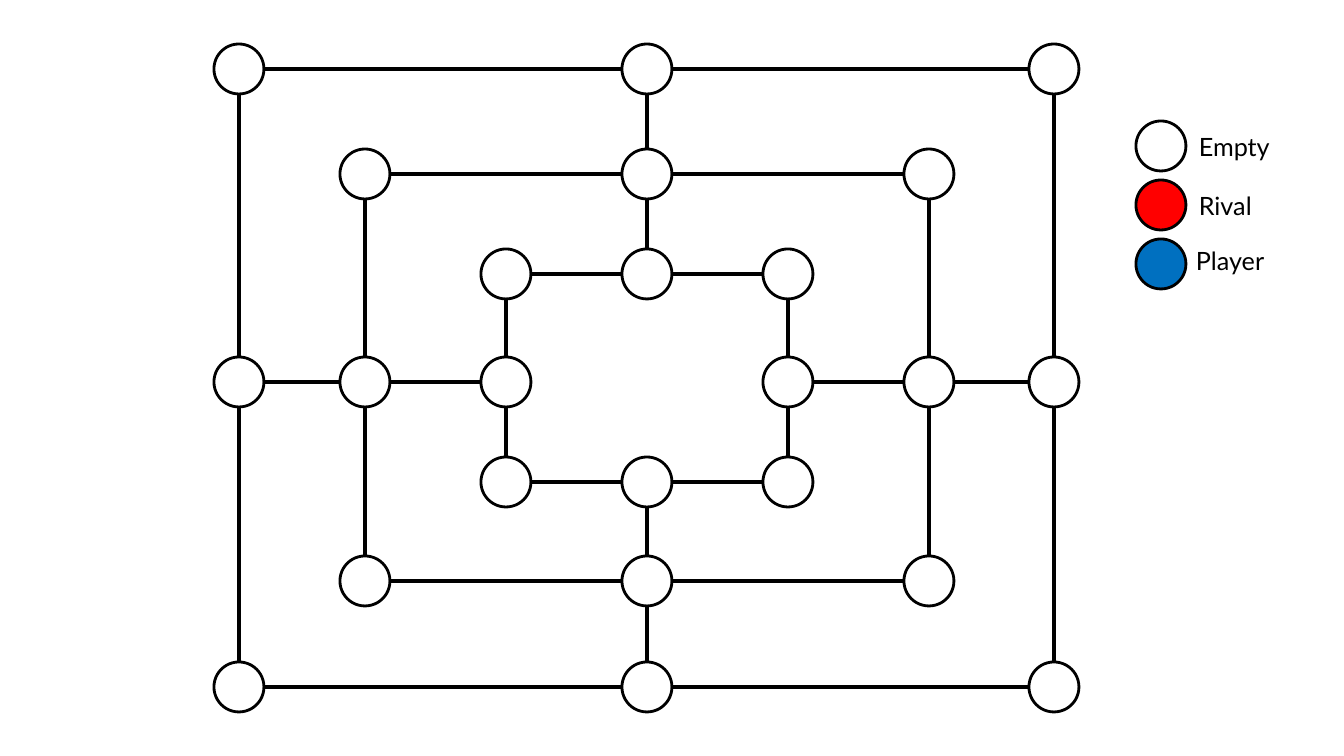
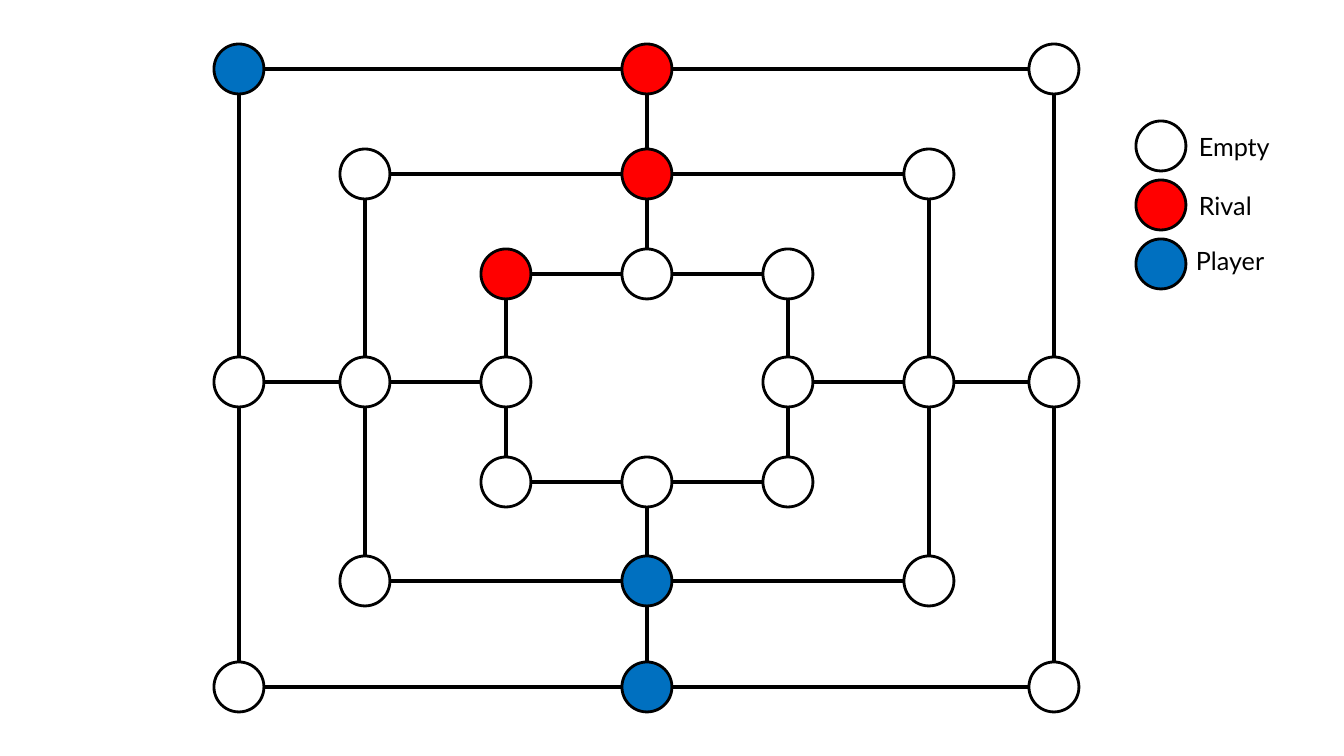
"""Builds two slides of a three-ring board game: empty board and game in play."""
from dataclasses import dataclass

from lxml import etree
from pptx import Presentation
from pptx.dml.color import RGBColor
from pptx.enum.shapes import MSO_CONNECTOR, MSO_SHAPE
from pptx.enum.text import MSO_AUTO_SIZE
from pptx.oxml.ns import qn
from pptx.util import Pt

OVAL = MSO_SHAPE.OVAL
STRAIGHT = MSO_CONNECTOR.STRAIGHT
FIT_SHAPE = MSO_AUTO_SIZE.SHAPE_TO_FIT_TEXT

# Content: rings as (left, top, right, bottom) through the disc centres.
CENTRE = (647, 382)
RINGS = {
    "outer": (239, 69, 1054, 687),
    "middle": (365, 174, 929, 581),
    "inner": (506, 274, 788, 482),
}
COMPASS = ("NW", "N", "NE", "E", "SE", "S", "SW", "W")

# Each position: pieces on the board, and whether the board is one group.
POSITIONS = [
    ({}, False),
    ({
        ("outer", "NW"): "Player",
        ("outer", "N"): "Rival",
        ("middle", "N"): "Rival",
        ("inner", "NW"): "Rival",
        ("middle", "S"): "Player",
        ("outer", "S"): "Player",
    }, True),
]

# Legend: state, left and top of its label.
LEGEND = [("Empty", 1189, 126), ("Rival", 1189, 185), ("Player", 1186, 240)]
LEGEND_X, LEGEND_Y, LEGEND_STEP = 1161, 146, 59
LABEL_WIDTH, LABEL_HEIGHT = 97, 40

SLIDE_WIDTH, SLIDE_HEIGHT = 1344, 756
RADIUS = 25
EMU_PER_PIXEL = 914400 / 100.8
BLANK_LAYOUT = 6


@dataclass(frozen=True)
class Theme:
    """Colours, font and line widths shared by the slides."""
    ink = RGBColor(0x00, 0x00, 0x00)
    states = {
        "Empty": RGBColor(0xFF, 0xFF, 0xFF),
        "Rival": RGBColor(0xFF, 0x00, 0x00),
        "Player": RGBColor(0x00, 0x70, 0xC0),
    }
    font = "Lato"
    label_size = Pt(18)
    disc_line = Pt(2)
    path_line = Pt(2.5)


THEME = Theme()


def px(*lengths):
    """Turn pixel lengths into EMU."""
    return [round(length * EMU_PER_PIXEL) for length in lengths]


def board_points():
    """Map each (ring, direction) to its centre."""
    points = {}
    for ring, (left, top, right, bottom) in RINGS.items():
        for direction in COMPASS:
            x = left if "W" in direction else right if "E" in direction else CENTRE[0]
            y = top if "N" in direction else bottom if "S" in direction else CENTRE[1]
            points[ring, direction] = (x, y)
    return points


def board_paths():
    """List the pairs of neighbours: around each ring, then between rings."""
    around = [((ring, start), (ring, end)) for ring in RINGS
              for start, end in zip(COMPASS, COMPASS[1:] + COMPASS[:1])]
    names = list(RINGS)
    across = [((ring, direction), (following, direction))
              for ring, following in zip(names, names[1:]) for direction in "NESW"]
    return around + across


def add_disc(shapes, centre, state):
    """Draw one disc, filled by its state."""
    x, y = centre
    disc = shapes.add_shape(OVAL, *px(x - RADIUS, y - RADIUS, 2 * RADIUS, 2 * RADIUS))
    disc.shadow.inherit = False
    disc.fill.solid()
    disc.fill.fore_color.rgb = THEME.states[state]
    disc.line.color.rgb = THEME.ink
    disc.line.width = THEME.disc_line


def add_path(shapes, start, end):
    """Draw a line between the edges of two neighbouring discs."""
    # The sign of each difference moves the ends from the centres to the edges.
    steps = [RADIUS * ((b > a) - (b < a)) for a, b in zip(start, end)]
    begin = [a + step for a, step in zip(start, steps)]
    finish = [b - step for b, step in zip(end, steps)]
    path = shapes.add_connector(STRAIGHT, *px(*begin, *finish))
    path.line.color.rgb = THEME.ink
    path.line.width = THEME.path_line
    etree.SubElement(path._element.spPr, qn("a:effectLst"))


def add_label(shapes, text, left, top):
    """Write one legend label."""
    box = shapes.add_textbox(*px(left, top, LABEL_WIDTH, LABEL_HEIGHT))
    box.text_frame.word_wrap = True
    box.text_frame.auto_size = FIT_SHAPE
    span = box.text_frame.paragraphs[0].add_run()
    span.text = text
    span.font.name = THEME.font
    span.font.size = THEME.label_size
    span.font.color.rgb = THEME.ink


def add_legend(shapes):
    """Draw the key of disc states."""
    for row, (state, left, top) in enumerate(LEGEND):
        add_disc(shapes, (LEGEND_X, LEGEND_Y + row * LEGEND_STEP), state)
        add_label(shapes, state, left, top)


def add_position(deck, pieces, grouped):
    """Add a slide with the board, its pieces and the legend."""
    page = deck.slides.add_slide(deck.slide_layouts[BLANK_LAYOUT])
    shapes = page.shapes.add_group_shape().shapes if grouped else page.shapes
    points = board_points()
    for place, centre in points.items():
        add_disc(shapes, centre, pieces.get(place, "Empty"))
    for start, end in board_paths():
        add_path(shapes, points[start], points[end])
    add_legend(shapes)


def main():
    """Build and save the deck."""
    deck = Presentation()
    deck.slide_width, deck.slide_height = px(SLIDE_WIDTH, SLIDE_HEIGHT)
    for pieces, grouped in POSITIONS:
        add_position(deck, pieces, grouped)
    deck.save("out.pptx")


main()
